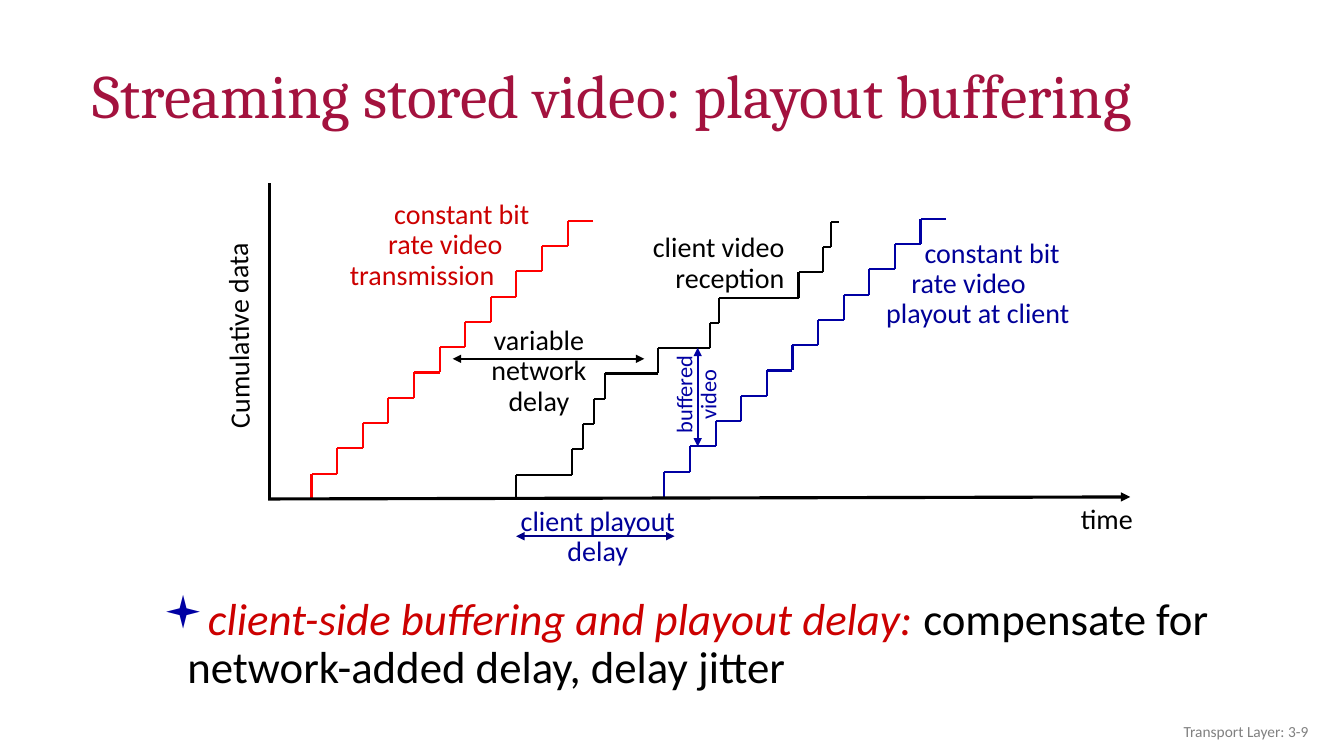
from dataclasses import dataclass
from itertools import pairwise

from lxml.etree import SubElement
from pptx import Presentation
from pptx.dml.color import RGBColor
from pptx.enum.shapes import MSO_CONNECTOR
from pptx.enum.text import MSO_ANCHOR, PP_ALIGN
from pptx.oxml.ns import qn
from pptx.slide import Slide
from pptx.text.text import Font
from pptx.util import Inches, Pt

BLACK, RED, DARK_RED = "000000", "FF0000", "CC0000"
BLUE, NAVY, ARROW_NAVY = "0000A3", "000099", "010086"
CRIMSON, GRAY = "A3123E", "808080"
STEP_WIDTH = 2.54 / 10
STEP_RISE = 2.76 / 11


@dataclass
class Label:
    lines: list[str]
    left: float
    top: float
    width: float
    height: float
    color: str = BLACK
    size: float = 20
    align: PP_ALIGN = PP_ALIGN.LEFT
    rotation: float = 0
    indents: tuple[float, ...] = (0, 0, 0)
    spacing: float = 0.9


@dataclass
class Line:
    start: tuple[float, float]
    end: tuple[float, float]
    color: str = BLACK
    width: float = 1.5
    head: bool = False
    tail: bool = False


@dataclass
class Staircase:
    edges: list[float]
    base: float
    color: str


def rgb(color: str) -> RGBColor:
    """Turn a hex string into a colour."""
    return RGBColor.from_string(color)


def style_font(font: Font, name: str, size: float, color: str) -> None:
    """Set typeface, size and colour."""
    font.name, font.size = name, Pt(size)
    font.color.rgb = rgb(color)


def regular_edges(start: float) -> list[float]:
    """Return the step edges of a constant bit rate staircase."""
    return [start + STEP_WIDTH * step for step in range(12)]


def add_line(slide: Slide, line: Line) -> None:
    """Draw a straight line with optional arrowheads."""
    points = [Inches(value) for value in (*line.start, *line.end)]
    connector = slide.shapes.add_connector(MSO_CONNECTOR.STRAIGHT, *points)
    connector.line.color.rgb = rgb(line.color)
    connector.line.width = Pt(line.width)
    outline = connector.line._get_or_add_ln()
    for tag, wanted in (("a:headEnd", line.head), ("a:tailEnd", line.tail)):
        if wanted:
            SubElement(outline, qn(tag), type="triangle")
    SubElement(connector._element.spPr, qn("a:effectLst"))


def add_staircase(slide: Slide, staircase: Staircase) -> None:
    """Draw a riser and a tread for each step."""
    for step, (left, right) in enumerate(pairwise(staircase.edges)):
        bottom = staircase.base - STEP_RISE * step
        top = bottom - STEP_RISE
        add_line(slide, Line((left, top), (left, bottom), staircase.color))
        add_line(slide, Line((right, top), (left, top), staircase.color))


def add_label(slide: Slide, label: Label) -> None:
    """Draw a text box with one paragraph per line."""
    box = slide.shapes.add_textbox(
        Inches(label.left), Inches(label.top), Inches(label.width), Inches(label.height)
    )
    box.rotation = label.rotation
    frame = box.text_frame
    frame.word_wrap = True
    frame.margin_left = frame.margin_right = 0
    frame.text = "\n".join(label.lines)
    for paragraph, indent in zip(frame.paragraphs, label.indents):
        paragraph.alignment = label.align
        paragraph.line_spacing = label.spacing
        style_font(paragraph.font, "Calibri", label.size, label.color)
        if indent:
            paragraph._p.get_or_add_pPr().set("marL", str(Inches(indent)))


def add_title(slide: Slide) -> None:
    """Place and fill the title placeholder."""
    title = slide.shapes.title
    title.left, title.top = Inches(0.92), Inches(0.49)
    title.width, title.height = Inches(11.5), Inches(0.98)
    frame = title.text_frame
    frame.margin_left = frame.margin_right = frame.margin_top = frame.margin_bottom = 0
    frame.vertical_anchor = MSO_ANCHOR.MIDDLE
    paragraph = frame.paragraphs[0]
    paragraph.alignment = PP_ALIGN.LEFT
    paragraph.line_spacing = 0.9
    for text, size in (("Streaming stored ", 44), ("v", 40), ("ideo: playout buffering", 44)):
        run = paragraph.add_run()
        run.text = text
        style_font(run.font, "Cambria", size, CRIMSON)


def add_summary(slide: Slide) -> None:
    """Draw the bulleted statement under the chart."""
    box = slide.shapes.add_textbox(Inches(1.37), Inches(5.87), Inches(11.5), Inches(0.97))
    box.text_frame.word_wrap = True
    paragraph = box.text_frame.paragraphs[0]
    paragraph.line_spacing = 0.9
    paragraph.space_before = Pt(10)
    properties = paragraph._p.get_or_add_pPr()
    properties.set("marL", str(Inches(0.39)))
    properties.set("indent", str(Inches(-0.24)))
    bullet_color = SubElement(properties, qn("a:buClr"))
    SubElement(bullet_color, qn("a:srgbClr"), val=BLUE)
    SubElement(properties, qn("a:buFont"), typeface="Wingdings")
    SubElement(properties, qn("a:buChar"), char="▪")
    for text, color, italic in (
        ("client-side buffering and playout delay: ", DARK_RED, True),
        ("compensate for network-added delay, delay jitter", BLACK, False),
    ):
        run = paragraph.add_run()
        run.text = text
        style_font(run.font, "Calibri", 32, color)
        run.font.italic = italic


LINES = [
    Line((2.67, 1.82), (2.67, 4.94), width=2.25),
    Line((11.21, 4.93), (2.66, 4.95), width=2.25, head=True),
    Line((4.49, 3.56), (6.39, 3.56), head=True, tail=True),
    Line((5.12, 5.32), (6.69, 5.32), ARROW_NAVY, head=True, tail=True),
    Line((6.92, 4.43), (6.92, 3.45), BLUE, head=True, tail=True),
]
RECEPTION_EDGES = [5.12, 5.67, 5.78, 5.89, 6, 6.53, 7.04, 7.13, 7.92, 8.16, 8.24, 8.32]
STAIRCASES = [
    Staircase(regular_edges(3.09), 4.95, RED),
    Staircase(RECEPTION_EDGES, 4.96, BLACK),
    Staircase(regular_edges(6.59), 4.93, BLUE),
]
LABELS = [
    Label(["constant bit", "rate video", "transmission"], 3.47, 1.94, 1.86, 1.01, DARK_RED,
          indents=(0.44, 0.38, 0)),
    Label(["Cumulative data"], 1.41, 3.08, 1.94, 0.4, rotation=269.4),
    Label(["time"], 10.72, 4.96, 0.63, 0.4),
    Label(["variable", "network", "delay"], 4.77, 3.19, 1.15, 1.01, align=PP_ALIGN.CENTER),
    Label(["client video", "reception"], 6.36, 2.27, 1.42, 0.71, align=PP_ALIGN.RIGHT),
    Label(["constant bit", "rate video", "playout at client"], 8.73, 2.32, 2, 1.01, NAVY,
          indents=(0.44, 0.31, 0.06)),
    Label(["client playout", "delay"], 5.01, 4.98, 1.84, 0.71, NAVY, align=PP_ALIGN.CENTER),
    Label(["buffered", "video"], 6.43, 3.62, 0.98, 0.59, BLUE, 16, PP_ALIGN.CENTER, 270),
    Label(["Transport Layer: 3-9"], 10.08, 7.11, 2.9, 0.28, GRAY, 11, PP_ALIGN.RIGHT, spacing=1),
]


def main() -> None:
    """Build and save the slide."""
    presentation = Presentation()
    presentation.slide_width, presentation.slide_height = Inches(13.33), Inches(7.5)
    slide = presentation.slides.add_slide(presentation.slide_layouts[5])
    add_title(slide)
    for staircase in STAIRCASES:
        add_staircase(slide, staircase)
    for line in LINES:
        add_line(slide, line)
    for label in LABELS:
        add_label(slide, label)
    add_summary(slide)
    presentation.save("out.pptx")


if __name__ == "__main__":
    main()
